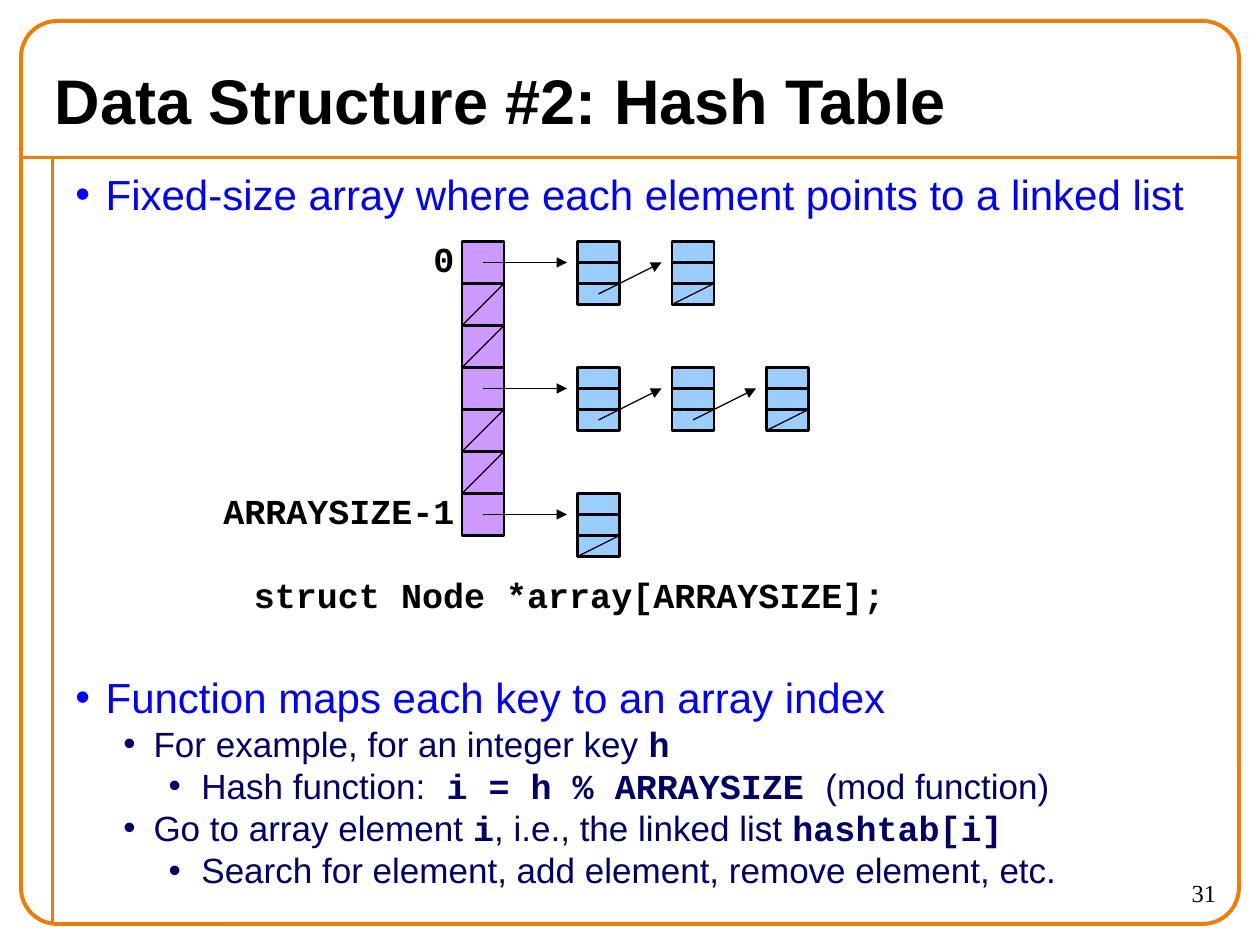
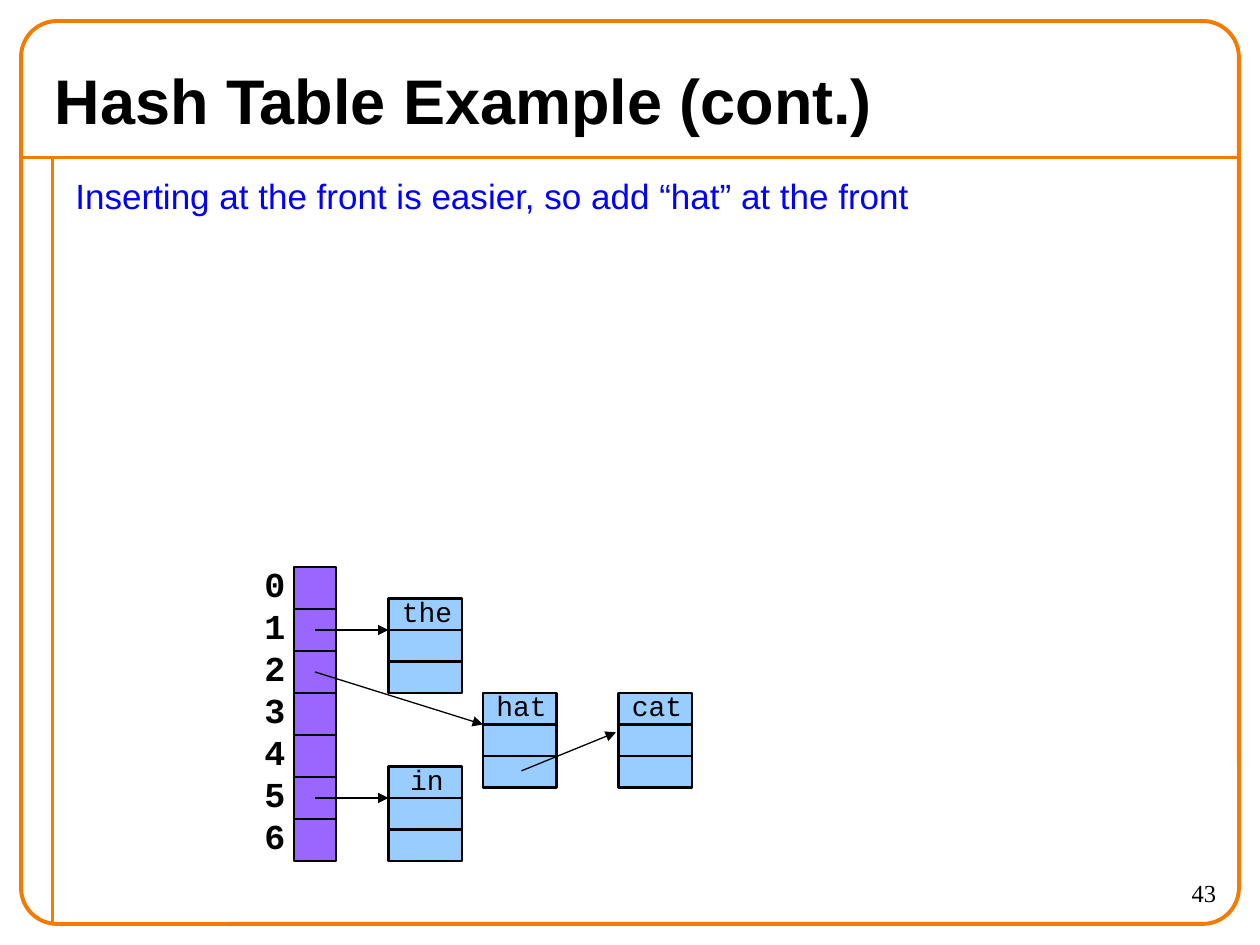
from pptx import Presentation
from pptx.dml.color import RGBColor
from pptx.enum import shapes, text
from pptx.oxml.ns import qn
from pptx.util import Pt
from lxml import etree

COLORS = {"frame": "F47A00", "ink": "000000", "point": "0000FF", "detail": "000066",
          "bucket": "CC99FF", "bucket_dark": "9966FF", "node": "99CCFF"}
SANS, MONO, SERIF = "Arial", "Courier New", "Times New Roman"
ALIGN = text.PP_ALIGN
BODY = (36, 96, 666, 432)
CELL = 24      # side of an array cell
BUCKETS = 7
FIELDS = 3     # fields in a list node

# Bullet levels: left margin, hanging indent, size, colour, space before
LEVELS = [(17.28, 17.28, 24, "point", 15),
          (44.64, 17.28, 20, "detail", 2.5),
          (72, 18.72, 20, "detail", 2.5)]
DIAGRAM_GAP = 261.5   # room left for the diagram between the two main points

# Backquotes mark code
POINTS = [
    (0, "Fixed-size array where each element points to a linked list", 0),
    (0, "Function maps each key to an array index", DIAGRAM_GAP),
    (1, "For example, for an integer key `h`", None),
    (2, "Hash function:` i = h % ARRAYSIZE `(mod function)", None),
    (1, "Go to array element `i`, i.e., the linked list `hashtab[i]`", None),
    (2, "Search for element, add element, remove element, etc.", None),
]
CHAINS = {0: 2, 3: 3, 6: 1}    # bucket: number of nodes in its list

# word: (left, top, bucket that points to it)
WORDS = {"the": (222, 342, 1), "hat": (276, 396, 2),
         "in": (222, 438, 5), "cat": (353.5, 396, None)}


def rgb(name):
    return RGBColor.from_string(COLORS[name])


def write(p, content, size=20, color="ink", font=SANS, bold=False, align=ALIGN.LEFT):
    """Fill a paragraph, setting the parts between backquotes as code."""
    p.alignment = align
    for i, part in enumerate(content.split("`")):
        if part:
            r = p.add_run()
            r.text = part
            r.font.size = Pt(size)
            r.font.color.rgb = rgb(color)
            r.font.name = MONO if i % 2 else font
            r.font.bold = bool(i % 2) or bold


def add_text(s, box, lines, wrap=True, **style):
    tf = s.shapes.add_textbox(*map(Pt, box)).text_frame
    tf.word_wrap = wrap
    for i, line in enumerate(lines):
        p = tf.add_paragraph() if i else tf.paragraphs[0]
        write(p, line, **style)
    return tf


def add_line(s, start, end, color="ink", width=0.75, arrow=False):
    c = s.shapes.add_connector(shapes.MSO_CONNECTOR.STRAIGHT, *map(Pt, start + end))
    c.line.color.rgb = rgb(color)
    c.line.width = Pt(width)
    if arrow:
        etree.SubElement(c.line._get_or_add_ln(), qn("a:tailEnd"), type="triangle")
    etree.SubElement(c._element.spPr, qn("a:effectLst"))


def add_box(parent, box, fill=None, line="ink", width=1.25,
            kind=shapes.MSO_SHAPE.RECTANGLE):
    sp = parent.shapes.add_shape(kind, *map(Pt, box))
    sp.shadow.inherit = False
    if fill:
        sp.fill.solid()
        sp.fill.fore_color.rgb = rgb(fill)
    else:
        sp.fill.background()
    sp.line.color.rgb = rgb(line)
    sp.line.width = Pt(width)
    return sp


def add_array(s, left, top, fill):
    for i in range(BUCKETS):
        add_box(s, (left, top + i * CELL, CELL, CELL), fill)


def add_node(s, left, top, width, height):
    """Draw a list node as a group of stacked fields of the given size."""
    group = s.shapes.add_group_shape()
    for i in range(FIELDS):
        add_box(group, (left, top + i * height, width, height), "node")


def add_slide(prs, title, number):
    s = prs.slides.add_slide(prs.slide_layouts[5])
    add_line(s, (12, 90), (708, 90), "frame", 2.25)
    add_line(s, (30, 90), (30, 528), "frame", 2.25)
    frame = add_box(s, (12, 12, 696, 516), None, "frame", 2.25,
                    shapes.MSO_SHAPE.ROUNDED_RECTANGLE)
    frame.adjustments[0] = 0.04
    add_text(s, (630, 498, 72, 30), [number], size=14, font=SERIF, align=ALIGN.RIGHT)
    sp = s.shapes.title
    sp.left, sp.top, sp.width, sp.height = map(Pt, (24, 30, 672, 54))
    sp.text_frame.vertical_anchor = text.MSO_ANCHOR.MIDDLE
    write(sp.text_frame.paragraphs[0], title, size=36, bold=True)
    return s


def add_bullets(s, box, points):
    tf = add_text(s, box, [])
    for i, (level, content, before) in enumerate(points):
        margin, hang, size, color, space = LEVELS[level]
        p = tf.add_paragraph() if i else tf.paragraphs[0]
        p.level = level
        p.line_spacing = 0.9
        p.space_before = Pt(space if before is None else before)
        pPr = p._p.get_or_add_pPr()
        pPr.set("marL", str(Pt(margin)))
        pPr.set("indent", str(-Pt(hang)))
        etree.SubElement(pPr, qn("a:buFont"), typeface=SANS)
        etree.SubElement(pPr, qn("a:buChar"), char="•")
        write(p, content, size=size, color=color)


def structure_slide(prs):
    s = add_slide(prs, "Data Structure #2: Hash Table", "31")
    add_bullets(s, BODY, POINTS)
    left, top = 264, 138
    first_node, pitch, field = 330, 54, 12
    add_array(s, left, top, "bucket")
    code = dict(font=MONO, bold=True)
    add_text(s, (240.5, 132, 26, 31.5), ["0"], wrap=False, align=ALIGN.CENTER, **code)
    add_text(s, (120, 276, 147, 31.5), ["ARRAYSIZE-1"], wrap=False,
             align=ALIGN.RIGHT, **code)
    for bucket in range(BUCKETS):
        y = top + bucket * CELL
        if bucket not in CHAINS:
            add_line(s, (left + CELL, y), (left, y + CELL))
            continue
        tip = y + CELL / 2
        source = (left + CELL / 2, tip)
        for i in range(CHAINS[bucket]):
            x = first_node + i * pitch
            add_line(s, source, (x - 6, tip), arrow=True)
            add_node(s, x, y, CELL, field)
            source = (x + CELL / 2, y + 2.5 * field)
        add_line(s, (x + CELL, y + 2 * field), (x, y + FIELDS * field))
    add_text(s, (138, 324, 420, 30), ["struct Node *array[ARRAYSIZE];"], **code)


def example_slide(prs):
    s = add_slide(prs, "Hash Table Example (cont.)", "43")
    add_text(s, BODY, ["Inserting at the front is easier, so add “hat” at the front"],
             color="point")
    left, top = 168, 324
    width, field = 42, 18
    add_array(s, left, top, "bucket_dark")
    add_text(s, (144, 318, 26, 175.5), [str(i) for i in range(BUCKETS)], wrap=False,
             font=MONO, bold=True, align=ALIGN.CENTER)
    for word, (x, y, bucket) in WORDS.items():
        add_node(s, x, y, width, field)
        if bucket is not None:
            add_line(s, (left + CELL / 2, top + (bucket + 0.5) * CELL),
                     (x, y + field), arrow=True)
        add_text(s, (x + 0.5, y - 6, 43, 26.5), [word], wrap=False, size=16,
                 font=MONO, align=ALIGN.CENTER)
    add_line(s, (298, 440.5), (352, 418.5), arrow=True)


def main():
    prs = Presentation()
    prs.slide_width, prs.slide_height = Pt(720), Pt(540)
    structure_slide(prs)
    example_slide(prs)
    prs.save("out.pptx")


if __name__ == "__main__":
    main()
